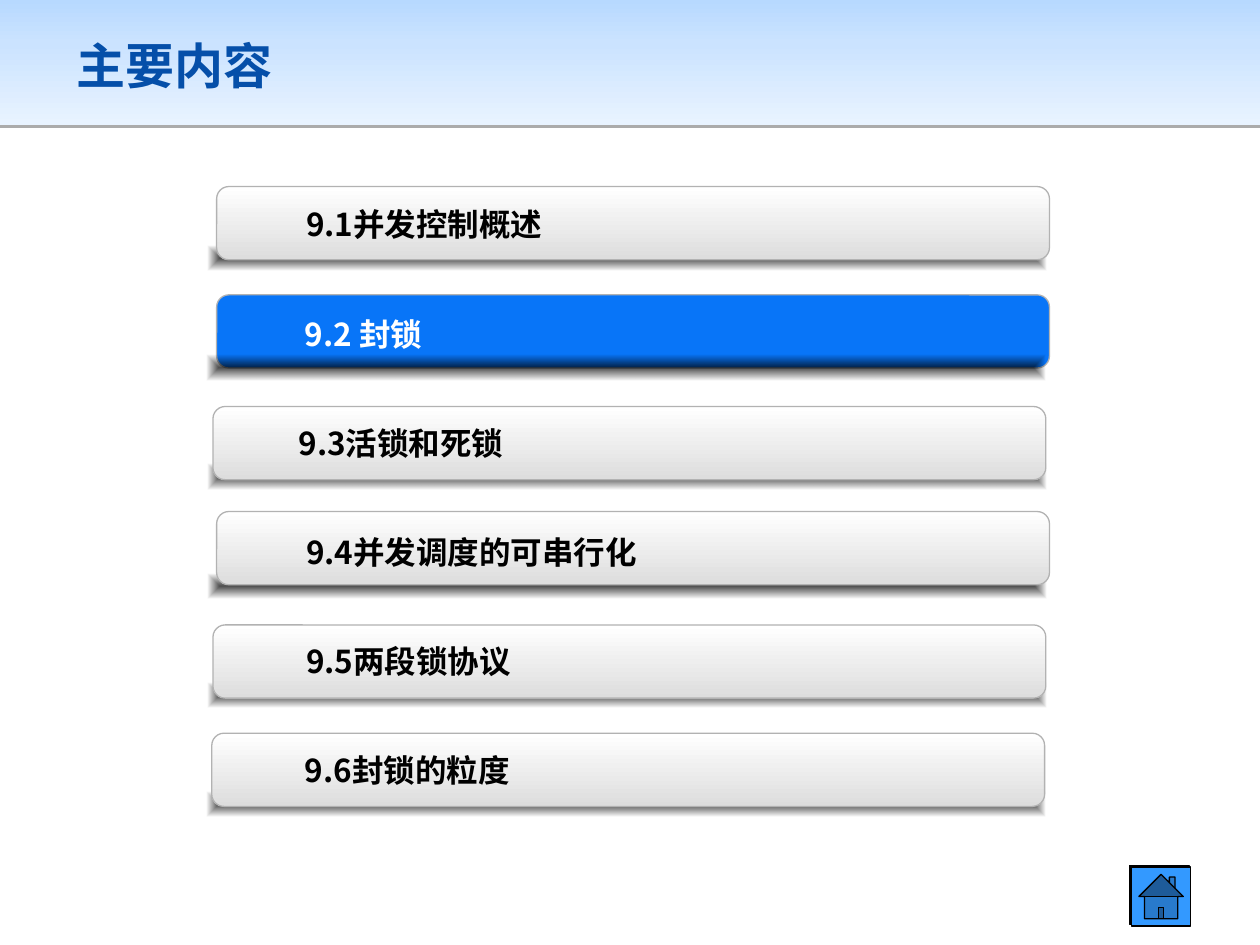
from pptx import Presentation
from pptx.dml.color import RGBColor
from pptx.enum.shapes import MSO_SHAPE
from pptx.enum.text import MSO_ANCHOR, PP_ALIGN
from pptx.oxml import parse_xml
from pptx.oxml.ns import nsdecls
from pptx.util import Pt

RECT = MSO_SHAPE.RECTANGLE
ROUND = MSO_SHAPE.ROUNDED_RECTANGLE
HOME = MSO_SHAPE.ACTION_BUTTON_HOME
MID = MSO_ANCHOR.MIDDLE
LEFT = PP_ALIGN.LEFT

COLORS = {
    "title": "054FA9", "black": "000000", "white": "FFFFFF",
    "top": "B7D9FF", "sky": "CBE3FF", "pale": "E8F3FF",
    "active": "0875F8", "gray": "DDDDDD", "edge": "B2B2B2",
    "home": "3399FF",
}
SANS = "Noto Sans CJK SC"
PITCH = 62.4

# Label, bar left, bar top, shade left, label left, label inset
ROWS = [
    ("9.1并发控制概述", 123.8, 106.6, 118.8, 127.4, 47.5),
    ("9.2 封锁", 123.8, 168.5, 118.1, 126.7, 47.5),
    ("9.3活锁和死锁", 121.7, 232.3, 118.8, 127.4, 43.2),
    ("9.4并发调度的可串行化", 123.8, 292.3, 118.8, 127.4, 47.5),
    ("9.5两段锁协议", 121.7, 357.1, 118.8, 127.4, 47.5),
    ("9.6封锁的粒度", 121, 419, 118.1, 126.7, 47.5),
]
ACTIVE = 1


def rgb(name):
    return RGBColor.from_string(COLORS[name])


def add_box(slide, kind, box, fill=None, line=None):
    shape = slide.shapes.add_shape(kind, *map(Pt, box))
    shape.shadow.inherit = False
    if fill:
        shape.fill.solid()
        shape.fill.fore_color.rgb = rgb(fill)
    else:
        shape.fill.background()
    if line:
        shape.line.color.rgb = rgb(line)
        shape.line.width = Pt(0.75)
    else:
        shape.line.fill.background()
    return shape


def set_grad(shape, stops, glow=False):
    """Fill with (percent, color, opacity) stops, downward or from the centre."""
    marks = "".join(
        f'<a:gs pos="{pos * 1000}"><a:srgbClr val="{COLORS[name]}">'
        f'<a:alpha val="{alpha * 1000}"/></a:srgbClr></a:gs>'
        for pos, name, alpha in stops)
    way = '<a:lin ang="5400000" scaled="0"/>'
    if glow:
        way = ('<a:path path="shape"><a:fillToRect l="50000" t="50000" '
               'r="50000" b="50000"/></a:path>')
    grad = parse_xml(f'<a:gradFill {nsdecls("a")} rotWithShape="1">'
                     f'<a:gsLst>{marks}</a:gsLst>{way}</a:gradFill>')
    props = shape.element.spPr
    props.replace(props.find("{*}noFill"), grad)


def set_shadow(shape, dist, angle, alpha):
    shape.element.spPr.find("{*}effectLst").append(parse_xml(
        f'<a:outerShdw {nsdecls("a")} dist="{Pt(dist)}" '
        f'dir="{angle * 60000}" algn="ctr" rotWithShape="0">'
        f'<a:srgbClr val="{COLORS["black"]}">'
        f'<a:alpha val="{alpha * 1000}"/></a:srgbClr></a:outerShdw>'))


def put_text(shape, text, size=18, font=SANS, color="black", inset=7.2):
    frame = shape.text_frame
    frame.word_wrap = True
    frame.vertical_anchor = MID
    frame.margin_left = Pt(inset)
    para = frame.paragraphs[0]
    para.alignment = LEFT
    run = para.add_run()
    run.text = text
    run.font.size = Pt(size)
    run.font.bold = True
    run.font.name = font
    run.font.color.rgb = rgb(color)
    # East Asian glyphs take their own typeface
    run.font._element.append(
        parse_xml(f'<a:ea {nsdecls("a")} typeface="{font}"/>'))


def add_head(slide):
    band = add_box(slide, RECT, (0, 0, 720, 71.3))
    set_grad(band, [(0, "top", 100), (35, "sky", 100), (100, "pale", 100)])
    set_shadow(band, 1.6, 90, 33)
    title = slide.shapes.title
    title.left, title.top, title.width, title.height = map(
        Pt, (36.7, 11.5, 646.6, 51.1))
    put_text(title, "主要内容", size=28, font="Arial", color="title")
    # Bring the title in front of the band
    band.element.addnext(title.element)


def add_shade(slide, left, top):
    shade = add_box(slide, RECT, (left, top, 479.5, 14.4))
    set_grad(shade, [(0, "black", 70), (100, "black", 0)], glow=True)


def add_bar(slide, left, top, active):
    bar = add_box(slide, ROUND, (left, top, 475.9, 41.8),
                  fill="active" if active else None, line="edge")
    if not active:
        set_grad(bar, [(0, "white", 100), (100, "gray", 100)])


def add_row(slide, num, row):
    text, left, top, shade, label, inset = row
    active = num == ACTIVE
    shift = num * PITCH
    # The active bar lies under its shade, the others above
    if active:
        add_bar(slide, left, top, active)
    add_shade(slide, shade, 140.4 + shift)
    if not active:
        add_bar(slide, left, top, active)
    box = slide.shapes.add_textbox(
        *map(Pt, (label, 107.2 + shift, 425.5, 41.8)))
    put_text(box, text, color="white" if active else "black", inset=inset)


def main():
    deck = Presentation()
    deck.slide_width, deck.slide_height = Pt(720), Pt(540)
    slide = deck.slides.add_slide(deck.slide_layouts[5])

    # Header
    add_head(slide)

    # Contents
    for num, row in enumerate(ROWS):
        add_row(slide, num, row)

    # Home button
    home = add_box(slide, HOME, (646.6, 495.4, 33.8, 33.8),
                   fill="home", line="black")
    set_shadow(home, 1.4, 225, 100)

    deck.save("out.pptx")


if __name__ == "__main__":
    main()
